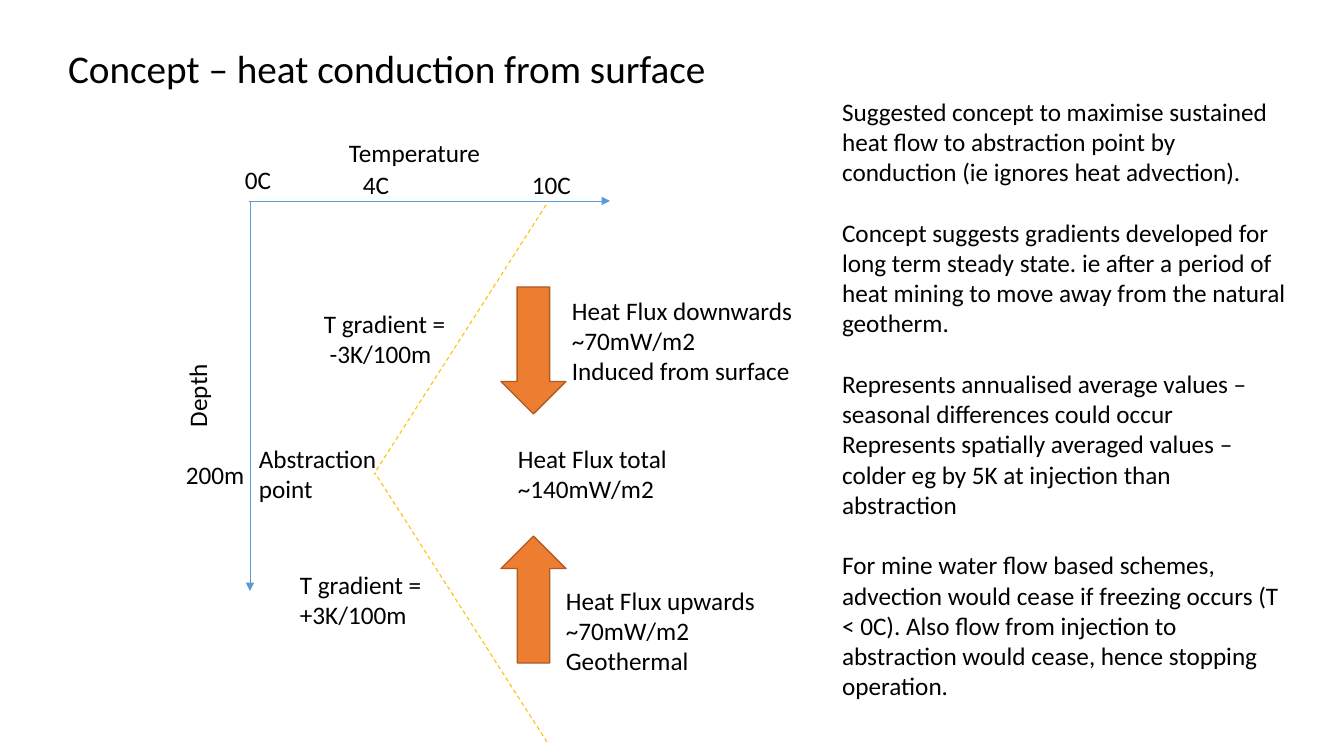
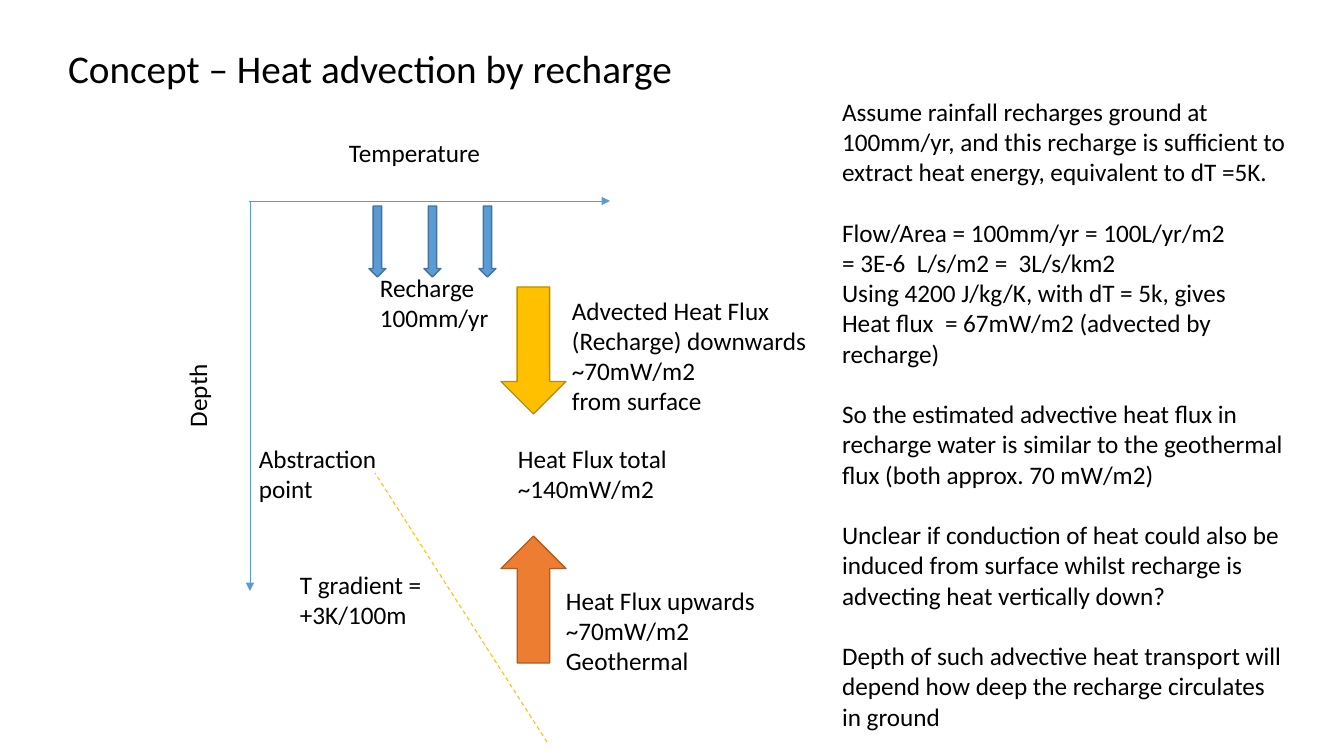
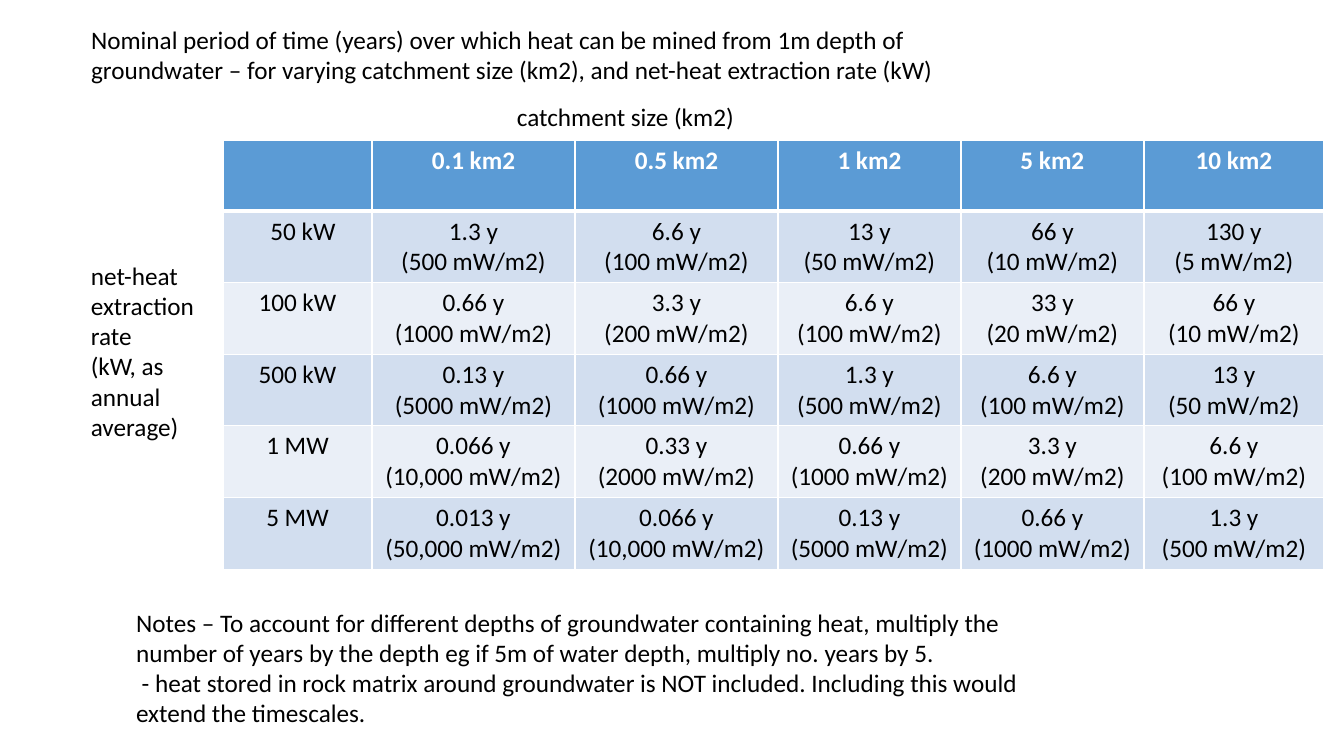
"""Builds three slides on sustained heat flow from groundwater."""
from dataclasses import dataclass

from lxml import etree
from pptx import Presentation
from pptx.dml.color import RGBColor
from pptx.enum.dml import MSO_LINE
from pptx.enum.shapes import MSO_CONNECTOR, MSO_SHAPE
from pptx.enum.text import MSO_ANCHOR, MSO_AUTO_SIZE, PP_ALIGN
from pptx.oxml.ns import qn
from pptx.util import Emu, Pt

EMU_PER_PX = 914400 / 100.8
FONT = "Calibri"
BODY_PT, TITLE_PT = 18, 28
LINE_GAP_PT = 21.6
BLACK, WHITE = "000000", "FFFFFF"
BLUE, BLUE_EDGE = "5B9BD5", "43739E"
ORANGE, ORANGE_EDGE = "ED7D31", "AF5C24"
GOLD, GOLD_EDGE = "FFC000", "BD8E00"
BANDS = ("D2DEEF", "EAEFF7")
DASH, STRAIGHT = MSO_LINE.DASH, MSO_CONNECTOR.STRAIGHT
DOWN_ARROW = MSO_SHAPE.DOWN_ARROW
TOP, LEFT, CENTER = MSO_ANCHOR.TOP, PP_ALIGN.LEFT, PP_ALIGN.CENTER
NO_FIT, GROW = MSO_AUTO_SIZE.NONE, MSO_AUTO_SIZE.SHAPE_TO_FIT_TEXT
TITLE_AND_BODY = 1


@dataclass(frozen=True)
class Box:
    """A rectangle in pixels."""
    x: int
    y: int
    w: int
    h: int


@dataclass(frozen=True)
class Label:
    """A text box with one string per paragraph."""
    box: Box
    lines: tuple[str, ...]
    rotation: int = 0


@dataclass(frozen=True)
class Line:
    """A straight line between two points."""
    start: tuple[int, int]
    end: tuple[int, int]
    color: str
    width: float
    arrow: bool = False


@dataclass(frozen=True)
class Arrow:
    """A block arrow that points down unless rotated."""
    box: Box
    fill: str
    edge: str
    rotation: int = 0


TITLE_BOX, SIDE_BOX = Box(58, 39, 670, 57), Box(832, 91, 467, 651)
DOWN_BOX, UP_BOX = Box(501, 287, 65, 127), Box(501, 536, 65, 127)

AXES_AND_GRADIENT = (
    Line((250, 201), (250, 591), BLUE, 0.5, arrow=True),
    Line((249, 201), (610, 201), BLUE, 0.5, arrow=True),
    Line((547, 742), (375, 473), GOLD, 0.75),
)
UPWARD_FLUX = Arrow(UP_BOX, ORANGE, ORANGE_EDGE, 180)
SHARED_LABELS = (
    Label(Box(339, 132, 258, 40), ("Temperature",)),
    Label(Box(139, 359, 116, 40), ("Depth",), 270),
    Label(Box(290, 564, 258, 72), ("T gradient =", "+3K/100m")),
    Label(Box(249, 438, 144, 72), ("Abstraction point",)),
    Label(Box(556, 580, 259, 102), ("Heat Flux upwards", "~70mW/m2", "Geothermal")),
    Label(Box(508, 438, 205, 72), ("Heat Flux total", "~140mW/m2")),
)

CONDUCTION_LABELS = (
    Label(Box(235, 159, 75, 40), ("0C",)),
    Label(Box(353, 164, 75, 40), ("4C",)),
    Label(Box(522, 164, 75, 40), ("10C",)),
    Label(Box(176, 454, 93, 40), ("200m",)),
    Label(Box(314, 303, 258, 72), ("T gradient =", " -3K/100m")),
    Label(Box(562, 290, 259, 102),
          ("Heat Flux downwards", "~70mW/m2", "Induced from surface")),
)
CONDUCTION_NOTES = (
    ("Suggested concept to maximise sustained heat flow to abstraction point by "
     "conduction (ie ignores heat advection).",),
    ("Concept suggests gradients developed for long term steady state. ie after a "
     "period of heat mining to move away from the natural geotherm.",),
    ("Represents annualised average values – seasonal differences could occur",
     "Represents spatially averaged values – colder eg by 5K at injection than "
     "abstraction"),
    ("For mine water flow based schemes, advection would cease if freezing occurs "
     "(T < 0C). Also flow from injection to abstraction would cease, hence stopping "
     "operation.",),
)

ADVECTION_LABELS = (
    Label(Box(370, 267, 144, 72), ("Recharge", "100mm/yr")),
    Label(Box(562, 290, 259, 132),
          ("Advected Heat Flux (Recharge) downwards", "~70mW/m2", "from surface")),
)
RECHARGE_ARROWS = tuple(
    Arrow(Box(369 + 55 * i, 206, 17, 71), BLUE, BLUE_EDGE) for i in range(3))
ADVECTION_NOTES = (
    ("Assume rainfall recharges ground at 100mm/yr, and this recharge is sufficient "
     "to extract heat energy, equivalent to dT =5K.",),
    ("Flow/Area = 100mm/yr = 100L/yr/m2",
     "= 3E-6  L/s/m2 =  3L/s/km2",
     "Using 4200 J/kg/K, with dT = 5k, gives",
     "Heat flux  = 67mW/m2 (advected by recharge)"),
    ("So the estimated advective heat flux in recharge water is similar to the "
     "geothermal flux (both approx. 70 mW/m2)",),
    ("Unclear if conduction of heat could also be induced from surface whilst "
     "recharge is advecting heat vertically down?",),
    ("Depth of such advective heat transport will depend how deep the recharge "
     "circulates in ground",),
)

PERIOD_TITLE = (
    "Nominal period of time (years) over which heat can be mined from 1m depth of "
    "groundwater – for varying catchment size (km2), and net-heat extraction rate (kW)")
PERIOD_LABELS = (
    Label(Box(507, 96, 522, 40), ("catchment size (km2)",)),
    Label(Box(81, 255, 150, 224),
          ("net-heat extraction rate", "(kW, as annual average)")),
)
PERIOD_NOTES = ((
    "Notes – To account for different depths of groundwater containing heat, multiply "
    "the number of years by the depth eg if 5m of water depth, multiply no. years by 5.",
    " - heat stored in rock matrix around groundwater is NOT included. Including this "
    "would extend the timescales."),)
TABLE_X, TABLE_Y, ROW_H = 223, 140, 71
COLUMN_WIDTHS = (149, 203, 203, 183, 183, 180)
CATCHMENTS = ("", "0.1 km2", "0.5 km2", "1 km2", "5 km2", "10 km2")
PERIODS = (
    ("50 kW", ("1.3", "500"), ("6.6", "100"), ("13", "50"), ("66", "10"), ("130", "5")),
    ("100 kW", ("0.66", "1000"), ("3.3", "200"), ("6.6", "100"), ("33", "20"),
     ("66", "10")),
    ("500 kW", ("0.13", "5000"), ("0.66", "1000"), ("1.3", "500"), ("6.6", "100"),
     ("13", "50")),
    ("1 MW", ("0.066", "10,000"), ("0.33", "2000"), ("0.66", "1000"), ("3.3", "200"),
     ("6.6", "100")),
    ("5 MW", ("0.013", "50,000"), ("0.066", "10,000"), ("0.13", "5000"),
     ("0.66", "1000"), ("1.3", "500")),
)


def px(n: int) -> Emu:
    """Turn pixels into EMU."""
    return Emu(round(n * EMU_PER_PX))


def rgb(color: str) -> RGBColor:
    """Turn a hex string into a colour."""
    return RGBColor.from_string(color)


def place(sp, box: Box) -> None:
    """Move a shape to a box."""
    sp.left, sp.top, sp.width, sp.height = map(px, (box.x, box.y, box.w, box.h))


def write(tf, lines, size=BODY_PT, color=BLACK, bold=False, align=LEFT) -> None:
    """Fill a text frame with one paragraph per line."""
    for i, line in enumerate(lines):
        p = tf.add_paragraph() if i else tf.paragraphs[0]
        p.alignment = align
        r = p.add_run()
        r.text = line
        r.font.name, r.font.size, r.font.bold = FONT, Pt(size), bold
        r.font.color.rgb = rgb(color)


def add_label(slide, label: Label) -> None:
    """Draw a text box."""
    b = label.box
    sp = slide.shapes.add_textbox(px(b.x), px(b.y), px(b.w), px(b.h))
    sp.rotation = label.rotation
    tf = sp.text_frame
    tf.word_wrap = True
    tf.auto_size = GROW
    write(tf, label.lines)


def add_line(slide, line: Line) -> None:
    """Draw a solid arrow or a dashed line."""
    sp = slide.shapes.add_connector(STRAIGHT, *map(px, line.start + line.end))
    sp.line.color.rgb = rgb(line.color)
    sp.line.width = Pt(line.width)
    spPr = sp.element.spPr
    if line.arrow:
        etree.SubElement(spPr.find(qn("a:ln")), qn("a:tailEnd"), type="triangle")
    else:
        sp.line.dash_style = DASH
    etree.SubElement(spPr, qn("a:effectLst"))


def add_arrow(slide, arrow: Arrow) -> None:
    """Draw a block arrow."""
    b = arrow.box
    sp = slide.shapes.add_shape(DOWN_ARROW, px(b.x), px(b.y), px(b.w), px(b.h))
    sp.rotation = arrow.rotation
    sp.shadow.inherit = False
    sp.fill.solid()
    sp.fill.fore_color.rgb = rgb(arrow.fill)
    sp.line.color.rgb = rgb(arrow.edge)
    sp.line.width = Pt(1)


def add_title(slide, text: str, box: Box, size: int) -> None:
    """Fill the title placeholder."""
    sp = slide.shapes.title
    place(sp, box)
    tf = sp.text_frame
    tf.word_wrap, tf.vertical_anchor, tf.auto_size = True, TOP, NO_FIT
    write(tf, (text,), size)


def add_notes(slide, groups, box: Box) -> None:
    """Fill the body placeholder with groups set one line apart."""
    sp = slide.placeholders[1]
    place(sp, box)
    tf = sp.text_frame
    tf.word_wrap, tf.vertical_anchor, tf.auto_size = True, TOP, NO_FIT
    write(tf, [line for group in groups for line in group])
    openers = {group[0] for group in groups[1:]}
    for p in tf.paragraphs:
        p.space_before = Pt(LINE_GAP_PT if p.text in openers else 0)
        pPr = p._p.get_or_add_pPr()
        pPr.set("marL", "0")
        pPr.set("indent", "0")
        etree.SubElement(pPr, qn("a:buNone"))


def style_cell(cell, fill: str, top: int = 1, bottom: int = 1) -> None:
    """Give a cell white borders and a fill."""
    tcPr = cell._tc.get_or_add_tcPr()
    for side, width in (("L", 1), ("R", 1), ("T", top), ("B", bottom)):
        ln = etree.SubElement(tcPr, qn(f"a:ln{side}"), w=str(Pt(width)))
        solid = etree.SubElement(ln, qn("a:solidFill"))
        etree.SubElement(solid, qn("a:srgbClr"), val=WHITE)
    cell.fill.solid()
    cell.fill.fore_color.rgb = rgb(fill)


def add_period_table(slide) -> None:
    """Draw the table of periods by catchment size and extraction rate."""
    rows, cols = len(PERIODS) + 1, len(COLUMN_WIDTHS)
    table = slide.shapes.add_table(rows, cols, px(TABLE_X), px(TABLE_Y),
                                   px(sum(COLUMN_WIDTHS)), px(ROW_H * rows)).table
    for column, width in zip(table.columns, COLUMN_WIDTHS):
        column.width = px(width)
    for cell, size in zip(table.rows[0].cells, CATCHMENTS):
        style_cell(cell, BLUE, bottom=3)
        if size:
            write(cell.text_frame, (size,), color=WHITE, bold=True, align=CENTER)
    for i, (rate, *periods) in enumerate(PERIODS):
        texts = [(rate,)] + [(f"{years} y", f"({flux} mW/m2)") for years, flux in periods]
        for cell, lines in zip(table.rows[i + 1].cells, texts):
            style_cell(cell, BANDS[i % 2], top=1 if i else 3)
            write(cell.text_frame, lines, align=CENTER)
    table.cell(1, 0).margin_left = px(21)


def add_concept(prs, title: str, notes, labels, lines, arrows) -> None:
    """Build a slide with the depth and temperature diagram."""
    slide = prs.slides.add_slide(prs.slide_layouts[TITLE_AND_BODY])
    add_title(slide, title, TITLE_BOX, TITLE_PT)
    add_notes(slide, notes, SIDE_BOX)
    for line in AXES_AND_GRADIENT + lines:
        add_line(slide, line)
    for arrow in (UPWARD_FLUX,) + arrows:
        add_arrow(slide, arrow)
    for label in SHARED_LABELS + labels:
        add_label(slide, label)


def add_periods(prs) -> None:
    """Build the slide with the table of periods."""
    slide = prs.slides.add_slide(prs.slide_layouts[TITLE_AND_BODY])
    add_title(slide, PERIOD_TITLE, Box(81, 19, 902, 102), BODY_PT)
    add_notes(slide, PERIOD_NOTES, Box(126, 602, 902, 132))
    add_period_table(slide)
    for label in PERIOD_LABELS:
        add_label(slide, label)


def main() -> None:
    """Build and save the presentation."""
    prs = Presentation()
    prs.slide_width, prs.slide_height = px(1344), px(756)
    add_concept(prs, "Concept – heat conduction from surface", CONDUCTION_NOTES,
                CONDUCTION_LABELS, (Line((546, 205), (374, 474), GOLD, 0.75),),
                (Arrow(DOWN_BOX, ORANGE, ORANGE_EDGE),))
    add_concept(prs, "Concept – Heat advection by recharge", ADVECTION_NOTES,
                ADVECTION_LABELS, (),
                (Arrow(DOWN_BOX, GOLD, GOLD_EDGE),) + RECHARGE_ARROWS)
    add_periods(prs)
    prs.save("out.pptx")


main()
